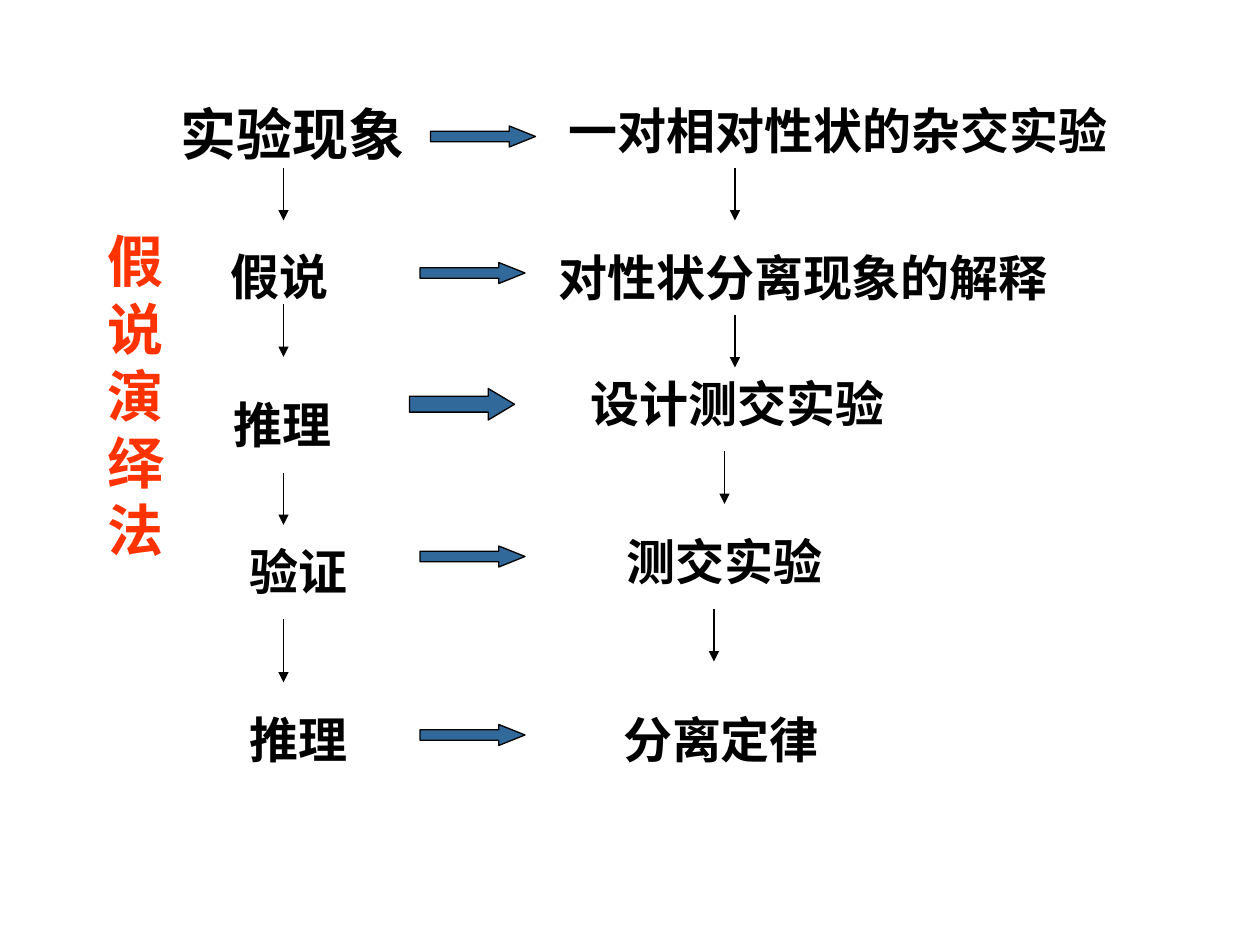
from lxml import etree
from pptx import Presentation
from pptx import util as u
from pptx.dml.color import RGBColor
from pptx.enum import shapes, text
from pptx.oxml import ns

RED = RGBColor(0xFF, 0x33, 0x00)
BLACK = RGBColor(0, 0, 0)
BLUE = RGBColor(0x31, 0x69, 0x9A)
FONT = "Noto Sans CJK SC"
LINE_WIDTH = 0.75
INSET = 7.2

# Left column: wording, left, top, width, height, size, indent
STEPS = [
    ("实验现象", 96, 53.5, 162, 103, 32, 0),
    ("假说", 78, 137.5, 162, 74, 28, 46.7),
    ("推理", 114, 222, 102, 74, 28, 12.5),
    ("验证", 120, 306, 102, 41, 28, 15.6),
    ("推理", 120, 402, 102, 91, 28, 15.6),
]
# Right column: wording, left, top, width
EXAMPLES = [
    ("一对相对性状的杂交实验", 318, 54, 342),
    ("对性状分离现象的解释", 312, 138, 342),
    ("设计测交实验", 330.5, 210, 288),
    ("测交实验", 351, 300, 138),
    ("分离定律", 349, 402, 258),
]
# Block arrows between the columns: left, top, height
BLOCK_ARROWS = [(246, 72, 12), (240, 150, 12), (234, 222, 18),
                (240, 312, 12), (240, 414, 12)]
# Arrows down each column: x, top, length
DOWN_ARROWS = [(162, 96, 30), (162, 174, 30), (162, 270, 30), (162, 354, 36),
               (420, 96, 30), (420, 180, 30), (414, 258, 30), (408, 348, 30)]


def write_text(shape, wording, size, color, indent=0):
    frame = shape.text_frame
    frame.word_wrap = True
    frame.auto_size = text.MSO_AUTO_SIZE.NONE
    frame.vertical_anchor = text.MSO_ANCHOR.TOP
    frame.margin_left = u.Pt(INSET + indent)
    paragraph = frame.paragraphs[0]
    paragraph.alignment = text.PP_ALIGN.LEFT
    run = paragraph.add_run()
    run.text = wording
    font = run.font
    font.size, font.bold, font.name = u.Pt(size), True, FONT
    font.color.rgb = color
    # East Asian typeface follows the Latin one
    latin = run._r.rPr.find(ns.qn("a:latin"))
    east_asian = etree.Element(ns.qn("a:ea"), typeface=FONT)
    latin.addnext(east_asian)


def add_title(slide, wording):
    title = slide.shapes.title
    title.left, title.top = u.Pt(54), u.Pt(126)
    title.width, title.height = u.Pt(53.5), u.Pt(201)
    write_text(title, wording, 32, RED)


def add_label(slide, wording, left, top, width, height=41, size=28, indent=0):
    box = slide.shapes.add_textbox(u.Pt(left), u.Pt(top), u.Pt(width), u.Pt(height))
    write_text(box, wording, size, BLACK, indent)


def add_block_arrow(slide, left, top, height):
    arrow = slide.shapes.add_shape(shapes.MSO_SHAPE.RIGHT_ARROW, u.Pt(left),
                                   u.Pt(top), u.Pt(60), u.Pt(height))
    arrow.shadow.inherit = False
    arrow.adjustments[1] = 15 / height  # head is always 15 pt long
    arrow.fill.solid()
    arrow.fill.fore_color.rgb = BLUE
    arrow.line.color.rgb = BLACK
    arrow.line.width = u.Pt(LINE_WIDTH)


def add_down_arrow(slide, x, top, length):
    arrow = slide.shapes.add_connector(shapes.MSO_CONNECTOR.STRAIGHT, u.Pt(x),
                                       u.Pt(top), u.Pt(x), u.Pt(top + length))
    arrow.line.color.rgb = BLACK
    arrow.line.width = u.Pt(LINE_WIDTH)
    etree.SubElement(arrow.line._get_or_add_ln(), ns.qn("a:tailEnd"), type="triangle")
    etree.SubElement(arrow._element.spPr, ns.qn("a:effectLst"))


def main():
    presentation = Presentation()
    presentation.slide_width, presentation.slide_height = u.Pt(720), u.Pt(540)
    slide = presentation.slides.add_slide(presentation.slide_layouts[5])

    # Name of the method, one character to a line
    add_title(slide, "假说演绎法")

    # The two columns
    for label in STEPS + EXAMPLES:
        add_label(slide, *label)

    # Links across and down
    for arrow in BLOCK_ARROWS:
        add_block_arrow(slide, *arrow)
    for arrow in DOWN_ARROWS:
        add_down_arrow(slide, *arrow)

    presentation.save("out.pptx")


if __name__ == "__main__":
    main()
